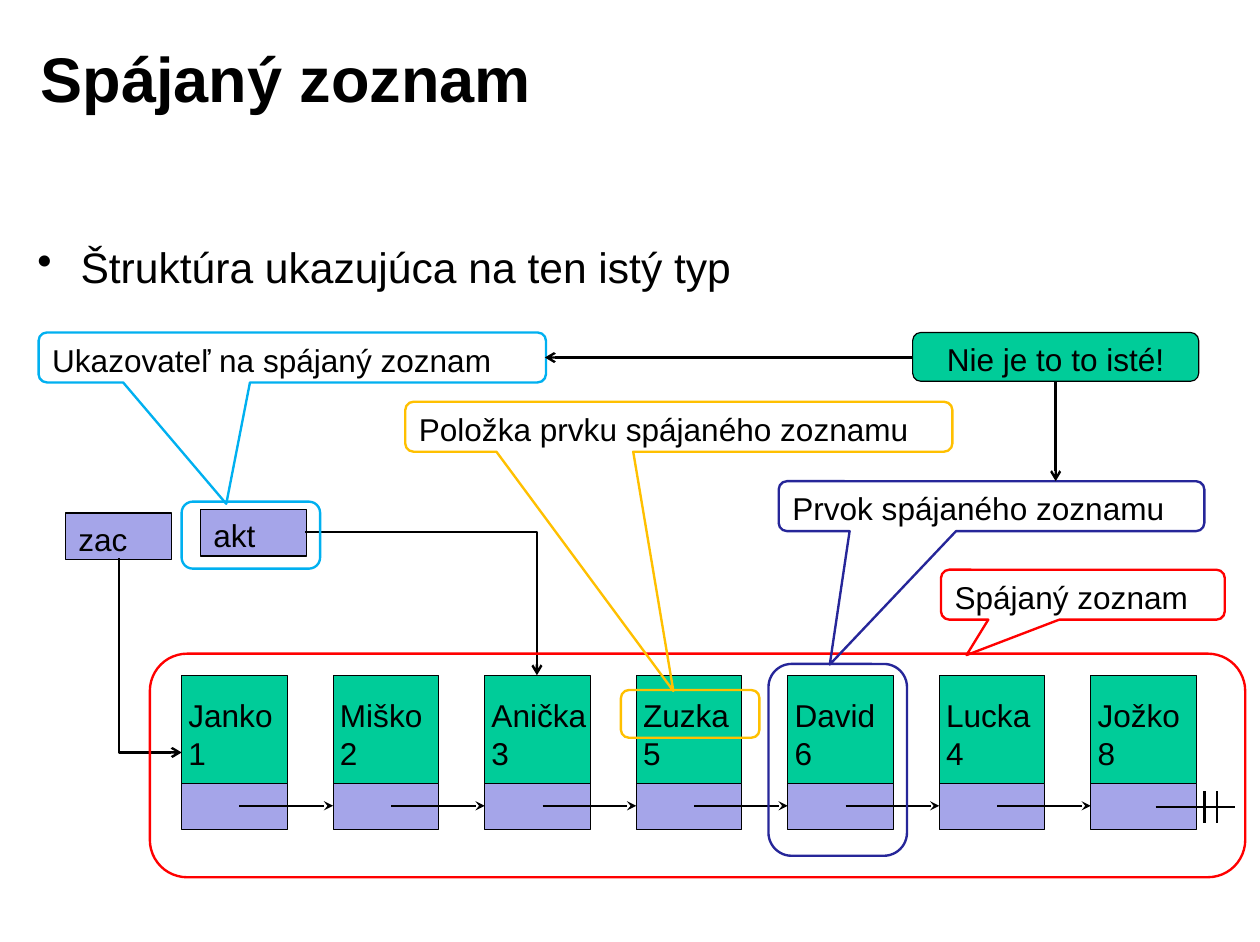
from dataclasses import dataclass

from lxml import etree
from pptx import Presentation
from pptx import util as u
from pptx.dml.color import RGBColor
from pptx.enum import shapes as kinds, text
from pptx.oxml.ns import qn


@dataclass(frozen=True)
class Theme:
    """Colours, font and sizes of the slide."""
    font: str = "Arial"
    ink: str = "000000"
    data: str = "00CC99"
    pointer: str = "A5A5E9"
    list_mark: str = "FF0000"
    node_mark: str = "262699"
    field_mark: str = "FFC000"
    pointer_mark: str = "00B0F0"
    title_size: float = 40
    bullet_size: float = 27
    label_size: float = 20
    thin: float = 0.75
    thick: float = 1.5


THEME = Theme()
PRESET = kinds.MSO_SHAPE
NODES = [("Janko", 1), ("Miško", 2), ("Anička", 3), ("Zuzka", 5),
         ("David", 6), ("Lucka", 4), ("Jožko", 8)]
NODE_LEFT, NODE_TOP, NODE_PITCH, NODE_WIDTH = 1.6, 5.95, 1.335, 0.93
POINTER_TOP, POINTER_HEIGHT, LINK_Y = 6.9, 0.41, 7.1


def inches(values):
    """Convert a series of numbers to lengths in inches."""
    return [u.Inches(value) for value in values]


def write(shape, lines, size=THEME.label_size, bold=False, align=text.PP_ALIGN.LEFT,
          anchor=text.MSO_ANCHOR.TOP, insets=(0.11, 0.06)):
    """Put one paragraph per line into a shape."""
    frame = shape.text_frame
    frame.word_wrap = True
    frame.vertical_anchor = anchor
    frame.margin_left = frame.margin_right = u.Inches(insets[0])
    frame.margin_top = frame.margin_bottom = u.Inches(insets[1])
    frame.text = "\n".join(lines)
    for paragraph in frame.paragraphs:
        paragraph.alignment = align
        paragraph.font.name = THEME.font
        paragraph.font.size = u.Pt(size)
        paragraph.font.bold = bold
        paragraph.font.color.rgb = RGBColor.from_string(THEME.ink)


def add_text(shapes, box, lines, **style):
    """Add a text box and return it."""
    shape = shapes.add_textbox(*inches(box))
    write(shape, lines, **style)
    return shape


def add_box(shapes, box, preset=PRESET.RECTANGLE, fill=None, line=THEME.ink,
            width=THEME.thin, adjustments=()):
    """Add a preset shape with an outline and an optional fill."""
    shape = shapes.add_shape(preset, *inches(box))
    shape.shadow.inherit = False
    if fill:
        shape.fill.solid()
        shape.fill.fore_color.rgb = RGBColor.from_string(fill)
    else:
        shape.fill.background()
    shape.line.color.rgb = RGBColor.from_string(line)
    shape.line.width = u.Pt(width)
    for index, value in enumerate(adjustments):
        shape.adjustments[index] = value
    return shape


def add_line(shapes, start, end, head=None, kind=kinds.MSO_CONNECTOR.STRAIGHT):
    """Add a connector, with an arrowhead at its end if one is named."""
    connector = shapes.add_connector(kind, *inches((*start, *end)))
    connector.line.color.rgb = RGBColor.from_string(THEME.ink)
    connector.line.width = u.Pt(THEME.thick)
    properties = connector._element.spPr
    if head:
        etree.SubElement(properties.find(qn("a:ln")), qn("a:tailEnd"), type=head)
    etree.SubElement(properties, qn("a:effectLst"))
    return connector


def add_elbow(shapes, start, end, down_first=False):
    """Add an arrow with one right-angled bend."""
    if down_first:
        middle_x, middle_y = (start[0] + end[0]) / 2, (start[1] + end[1]) / 2
        half_x, half_y = (end[0] - start[0]) / 2, (end[1] - start[1]) / 2
        start = middle_x + half_y, middle_y - half_x
        end = middle_x - half_y, middle_y + half_x
    connector = add_line(shapes, start, end, "arrow", kinds.MSO_CONNECTOR.ELBOW)
    properties = connector._element.spPr
    properties.find(qn("a:prstGeom")).set("prst", "bentConnector2")
    if down_first:
        properties.find(qn("a:xfrm")).set("rot", str(270 * 60000))


def add_bullet(shapes, box, line):
    """Add a bulleted line with a hanging indent."""
    shape = add_text(shapes, box, [line], size=THEME.bullet_size)
    properties = shape.text_frame.paragraphs[0]._p.get_or_add_pPr()
    indent = u.Inches(0.38)
    properties.set("marL", str(indent))
    properties.set("indent", str(-indent))
    bullet = etree.Element(qn("a:buChar"), char="•")
    properties.insert_element_before(bullet, "a:tabLst", "a:defRPr", "a:extLst")


def add_highlight(shapes, color, frame, callout, tip, label):
    """Add a group of a rounded frame and the callout that explains it."""
    group = shapes.add_group_shape().shapes
    add_box(group, frame, PRESET.ROUNDED_RECTANGLE, line=color, width=THEME.thick)
    shape = add_box(group, callout, PRESET.ROUNDED_RECTANGULAR_CALLOUT, line=color,
                    width=THEME.thick, adjustments=(*tip, 0.167))
    write(shape, [label], insets=(0.1, 0.05))


def add_nodes(shapes):
    """Add the linked nodes, their pointers and the end mark."""
    lefts = [NODE_LEFT + index * NODE_PITCH for index in range(len(NODES))]
    for left, (name, number) in zip(lefts, NODES):
        add_box(shapes, (left, NODE_TOP, NODE_WIDTH, 1.34), fill=THEME.data)
        add_text(shapes, (left - 0.05, 6.07, 1.1, 0.79), [name, str(number)])
        add_box(shapes, (left, POINTER_TOP, NODE_WIDTH, POINTER_HEIGHT), fill=THEME.pointer)
    for left, following in zip(lefts, lefts[1:]):
        add_line(shapes, (left + 0.51, LINK_Y), (following, LINK_Y), "stealth")
    add_line(shapes, (10.18, 7.11), (10.88, 7.11))
    for x in (10.61, 10.72):
        add_line(shapes, (x, 7.25), (x, 6.97))


def add_pointers(shapes):
    """Add the two named pointers and their arrows to nodes."""
    for name, left, top in (("zac", 0.58, 4.52), ("akt", 1.77, 4.49)):
        shape = add_box(shapes, (left, top, NODE_WIDTH, POINTER_HEIGHT), fill=THEME.pointer)
        write(shape, [name])
    add_elbow(shapes, (1.05, 4.92), (NODE_LEFT, 6.63), down_first=True)
    add_elbow(shapes, (2.69, 4.69), (4.73, NODE_TOP))


def add_warning(shapes):
    """Add the grouped note with arrows to the two terms it contrasts."""
    group = shapes.add_group_shape().shapes
    note = add_box(group, (8.04, 2.93, 2.52, 0.43), PRESET.ROUNDED_RECTANGLE, fill=THEME.data)
    write(note, ["Nie je to to isté!"], align=text.PP_ALIGN.CENTER, insets=(0.1, 0.05))
    add_line(group, (8.04, 3.15), (4.8, 3.15), "arrow")
    add_line(group, (9.3, 3.36), (9.3, 4.24), "arrow")


def main():
    """Build the slide and save it."""
    presentation = Presentation()
    presentation.slide_width, presentation.slide_height = inches((11.1, 8.3))
    shapes = presentation.slides.add_slide(presentation.slide_layouts[6]).shapes
    add_text(shapes, (0.25, 0.17, 8.91, 1.02), ["Spájaný zoznam"], size=THEME.title_size,
             bold=True, anchor=text.MSO_ANCHOR.MIDDLE)
    add_nodes(shapes)
    add_pointers(shapes)
    add_bullet(shapes, (0.22, 2.06, 6.72, 0.67), "Štruktúra ukazujúca na ten istý typ")
    add_highlight(shapes, THEME.list_mark, (1.32, 5.76, 9.65, 1.97),
                  (8.29, 5.02, 2.5, 0.44), (-0.41, 1.21), "Spájaný zoznam")
    add_highlight(shapes, THEME.node_mark, (6.77, 5.85, 1.22, 1.69),
                  (6.86, 4.24, 3.75, 0.44), (-0.38, 3.17), "Prvok spájaného zoznamu")
    add_highlight(shapes, THEME.field_mark, (5.47, 6.08, 1.22, 0.42),
                  (3.57, 3.54, 4.82, 0.44), (-0.01, 5.29), "Položka prvku spájaného zoznamu")
    add_highlight(shapes, THEME.pointer_mark, (1.6, 4.42, 1.22, 0.59),
                  (0.34, 2.93, 4.47, 0.44), (-0.13, 2.93), "Ukazovateľ na spájaný zoznam")
    add_warning(shapes)
    presentation.save("out.pptx")


main()
